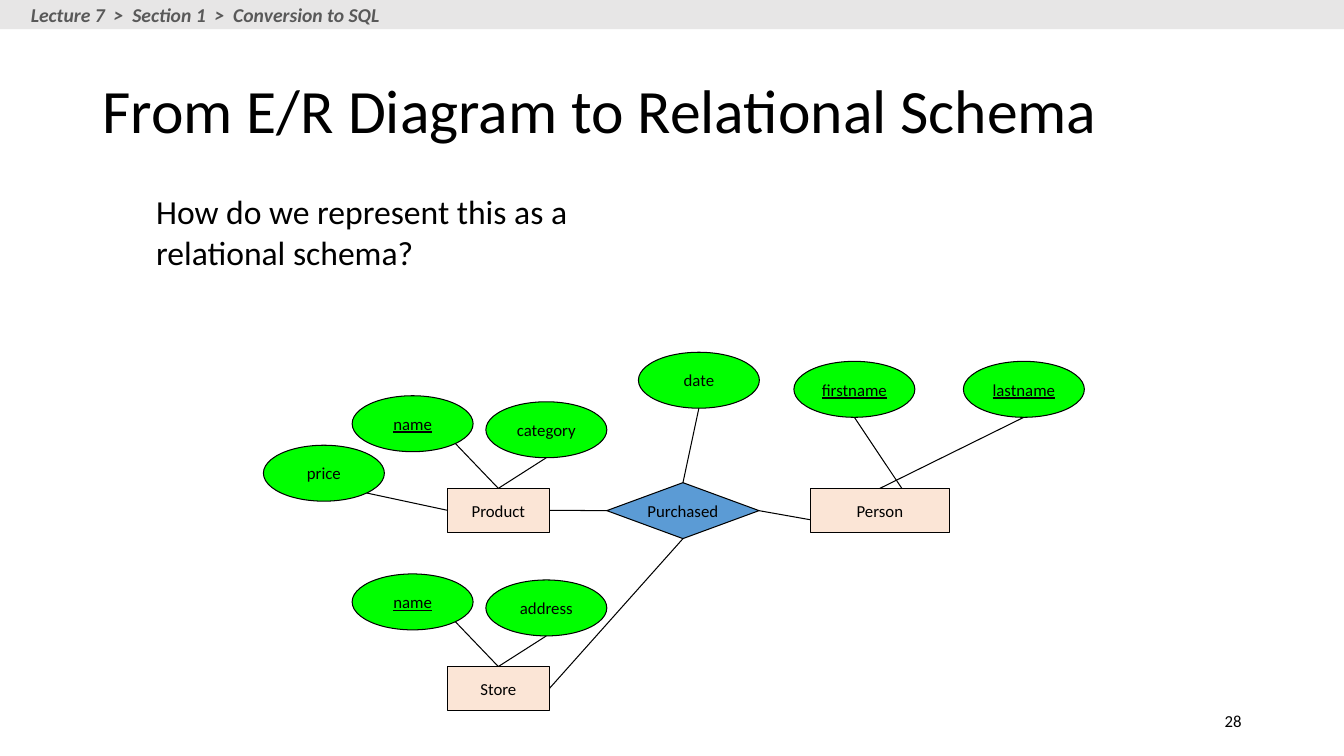
from dataclasses import dataclass
from math import sqrt

from lxml import etree
from pptx import Presentation
from pptx import util as u
from pptx.dml import color
from pptx.enum import shapes, text
from pptx.oxml import ns


@dataclass
class Theme:
    font: str = "Calibri"
    black: str = "000000"
    gray: str = "595959"
    band: str = "E7E6E6"
    green: str = "00FF00"
    peach: str = "FBE5D6"
    blue: str = "5B9BD5"
    head: int = 44
    body: int = 24
    crumb: int = 14
    small: int = 12
    line: float = 0.75


theme = Theme()
rgb = color.RGBColor.from_string
Kind, Align, Mid = shapes.MSO_SHAPE, text.PP_ALIGN, text.MSO_ANCHOR.MIDDLE

deck = Presentation()
deck.slide_width, deck.slide_height = u.Inches(13.33), u.Inches(7.5)
slide = deck.slides.add_slide(deck.slide_layouts[5])
parts = slide.shapes

# Grid of 100 columns by 100 rows
col, row = deck.slide_width / 100, deck.slide_height / 100


def grid(x, y, w, h):
    return [int(v) for v in (x * col, y * row, w * col, h * row)]


def write(shape, words, size, align=Align.LEFT, wrap=True, tint=theme.black):
    frame = shape.text_frame
    frame.word_wrap = wrap
    para = frame.paragraphs[0]
    para.alignment = align
    run = para.add_run()
    run.text = words
    font = run.font
    font.name, font.size = theme.font, u.Pt(size)
    font.color.rgb = rgb(tint)
    return run


# Title
title = parts.title
title.left, title.top, title.width, title.height = grid(6.88, 5.32, 86.25, 19.33)
write(title, "From E/R Diagram to Relational Schema", theme.head)
title.text_frame.auto_size = text.MSO_AUTO_SIZE.NONE
title.text_frame.vertical_anchor = Mid
title.text_frame.paragraphs[0].line_spacing = 0.9

# Question and page number
ask = parts.add_textbox(*grid(10.88, 24.65, 32.7, 12.1))
write(ask, "How do we represent this as a relational schema?", theme.body)
page = parts.add_textbox(*grid(70.63, 92.7, 22.5, 5.32))
write(page, "28", theme.small, Align.RIGHT)
page.text_frame.vertical_anchor = Mid

# Nodes: name, kind, fill, x, y, width, height, key
oval_w, oval_h = 9, 7.4
box_w, box_h = 7.6, 5.8
left, top, drop = 33.28, 64.6, 23.57
ovals = [
    ("name", 26.2, 52.35, True),
    ("category", 36.15, 53.15, False),
    ("price", 19.6, 58.9, False),
    ("date", 47.5, 46.6, False),
    ("firstname", 59.07, 47.8, True),
    ("lastname", 71.68, 47.8, True),
    ("name", 26.2, 52.35 + drop, True),
    ("address", 36.15, 53.15 + drop, False),
]
nodes = [
    ("Purchased", Kind.DIAMOND, theme.blue, 45.15, 63.85, 11.33, oval_h, False),
    ("Product", Kind.RECTANGLE, theme.peach, left, top, box_w, box_h, False),
    ("Person", Kind.RECTANGLE, theme.peach, 60.28, top, 10.38, box_h, False),
    ("Store", Kind.RECTANGLE, theme.peach, left, top + drop, box_w, box_h, False),
]
nodes += [(name, Kind.OVAL, theme.green, x, y, oval_w, oval_h, key)
          for name, x, y, key in ovals]

made = []
for name, kind, fill, x, y, w, h, key in nodes:
    node = parts.add_shape(kind, *grid(x, y, w, h))
    node.shadow.inherit = False
    node.fill.solid()
    node.fill.fore_color.rgb = rgb(fill)
    node.line.color.rgb = rgb(theme.black)
    node.line.width = u.Pt(theme.line)
    label = write(node, name, theme.small, Align.CENTER, False)
    if key:
        label.font.underline = True
    node.text_frame.vertical_anchor = Mid
    made.append(node)
bought, product, person, store = made[:4]

# Links: an end is a point, or a node with one of its sides
low = (oval_w / 2, oval_h)
slant = (oval_w / 2 * (1 + sqrt(0.5)), oval_h / 2 * (1 + sqrt(0.5)))
exits = [slant, low, slant, low, low, low, slant, low]
goals = [(product, 0), (product, 0), (product, 1), (bought, 0),
         (67.1, top), (person, 0), (store, 0), (store, 0)]
links = [((x + dx, y + dy), goal)
         for (_, x, y, _), (dx, dy), goal in zip(ovals, exits, goals)]
links += [
    ((product, 3), (bought, 1)),
    ((bought, 3), (60.28, 68.75)),
    ((store, 3), (bought, 2)),
]
for start, end in links:
    link = parts.add_connector(shapes.MSO_CONNECTOR.STRAIGHT, 0, 0, 0, 0)
    if start[0] in made:
        link.begin_connect(*start)
    else:
        link.begin_x, link.begin_y = int(start[0] * col), int(start[1] * row)
    if end[0] in made:
        link.end_connect(*end)
    else:
        link.end_x, link.end_y = int(end[0] * col), int(end[1] * row)
    link.line.color.rgb = rgb(theme.black)
    link.line.width = u.Pt(theme.line)
    etree.SubElement(link._element.spPr, ns.qn("a:effectLst"))

# Breadcrumb band
band = parts.add_shape(Kind.RECTANGLE, *grid(0, 0, 100, 3.85))
band.shadow.inherit = False
band.fill.solid()
band.fill.fore_color.rgb = rgb(theme.band)
band.line.fill.background()
crumb = parts.add_textbox(*grid(1.55, -0.25, 27.8, 4.5))
trail = write(crumb, "Lecture 7  >  Section 1  >  Conversion to SQL",
              theme.crumb, wrap=False, tint=theme.gray)
trail.font.bold = trail.font.italic = True

deck.save("out.pptx")
